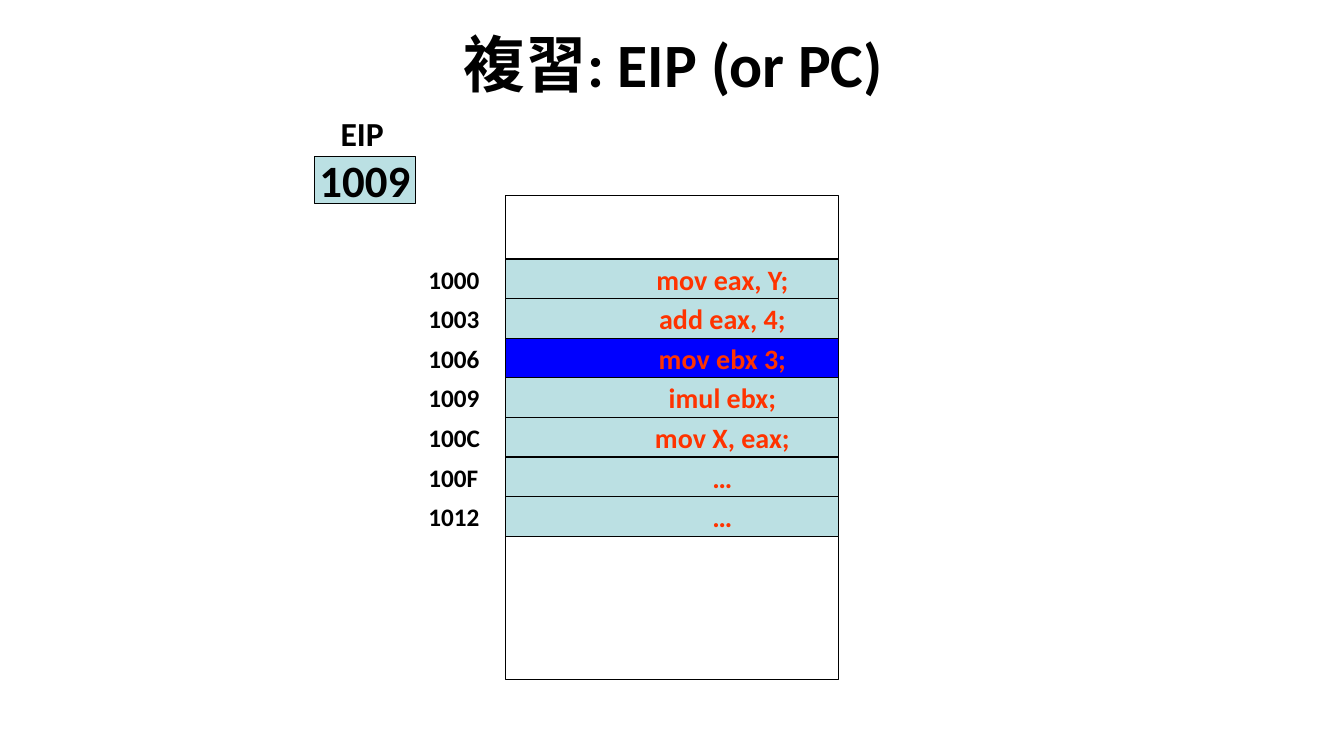
"""Builds a slide that reviews the EIP register beside a memory column."""
from pptx import Presentation, util as u
from pptx.dml.color import RGBColor
from pptx.enum import shapes, text

BLACK = RGBColor(0x00, 0x00, 0x00)
WHITE = RGBColor(0xFF, 0xFF, 0xFF)
TEAL = RGBColor(0xBB, 0xE0, 0xE3)
BLUE = RGBColor(0x00, 0x00, 0xFF)
ORANGE = RGBColor(0xFF, 0x33, 0x00)
FONT = "Calibri"

COLUMN_LEFT, COLUMN_WIDTH = 5.01, 3.31
COLUMN_TOP, COLUMN_BOTTOM = 1.94, 6.74
CODE_TOP, CODE_BOTTOM = 2.57, 5.32
ADDRESS_LEFT = 4.15
CURRENT = "1006"
PROGRAM = [
    ("1000", "mov eax, Y;"),
    ("1003", "add eax, 4;"),
    (CURRENT, "mov ebx 3;"),
    ("1009", "imul ebx;"),
    ("100C", "mov X, eax;"),
    ("100F", "…"),
    ("1012", "…"),
]
ROW = (CODE_BOTTOM - CODE_TOP) / len(PROGRAM)


def write(box, words, size, color=BLACK, align=text.PP_ALIGN.CENTER,
          anchor=text.MSO_ANCHOR.MIDDLE, wrap=False, indent=0):
    """Put one bold run into a box."""
    frame = box.text_frame
    frame.word_wrap = wrap
    frame.vertical_anchor = anchor
    para = frame.paragraphs[0]
    para.alignment = align
    if indent:
        para.level = 2
        properties = para._p.get_or_add_pPr()
        properties.set("marL", str(u.Inches(indent)))
        properties.set("indent", "0")
    span = para.add_run()
    span.text = words
    span.font.name = FONT
    span.font.size = u.Pt(size)
    span.font.bold = True
    span.font.color.rgb = color


def add_cell(page, left, top, width, height, fill):
    """Draw a thinly outlined rectangle."""
    box = page.shapes.add_shape(
        shapes.MSO_SHAPE.RECTANGLE,
        *map(u.Inches, (left, top, width, height)))
    box.shadow.inherit = False
    box.fill.solid()
    box.fill.fore_color.rgb = fill
    box.line.color.rgb = BLACK
    box.line.width = u.Pt(0.75)
    return box


def add_label(page, words, left, top, width, height, size):
    """Place a left-aligned label that does not wrap."""
    box = page.shapes.add_textbox(
        *map(u.Inches, (left, top, width, height)))
    write(box, words, size, align=text.PP_ALIGN.LEFT,
          anchor=text.MSO_ANCHOR.TOP)
    box.text_frame.auto_size = text.MSO_AUTO_SIZE.SHAPE_TO_FIT_TEXT


def add_title(page, words):
    """Place the centred title."""
    box = page.shapes.add_textbox(
        *map(u.Inches, (0.68, 0, 12, 1.25)))
    write(box, words, 44, wrap=True)


def add_memory(page):
    """Stack the code rows between two empty stretches of memory."""
    for row, (address, code) in enumerate(PROGRAM):
        top = CODE_TOP + row * ROW
        fill = BLUE if address == CURRENT else TEAL
        cell = add_cell(page, COLUMN_LEFT, top, COLUMN_WIDTH, ROW, fill)
        write(cell, code, 20, ORANGE, indent=1)
        add_label(page, address, ADDRESS_LEFT, top, 0.71, 0.4, 18)
    for top, bottom in ((CODE_BOTTOM, COLUMN_BOTTOM), (COLUMN_TOP, CODE_TOP)):
        add_cell(page, COLUMN_LEFT, top, COLUMN_WIDTH, bottom - top, WHITE)


def add_register(page):
    """Draw the EIP register with its value."""
    write(add_cell(page, 3.12, 1.55, 1, 0.47, TEAL), "1009", 32)
    add_label(page, "EIP", 3.28, 1.07, 0.63, 0.5, 24)


def main():
    """Build and save the deck."""
    deck = Presentation()
    deck.slide_width, deck.slide_height = u.Inches(13.33), u.Inches(7.5)
    page = deck.slides.add_slide(deck.slide_layouts[6])
    add_title(page, "複習: EIP (or PC)")
    add_memory(page)
    add_register(page)
    deck.save("out.pptx")


if __name__ == "__main__":
    main()
